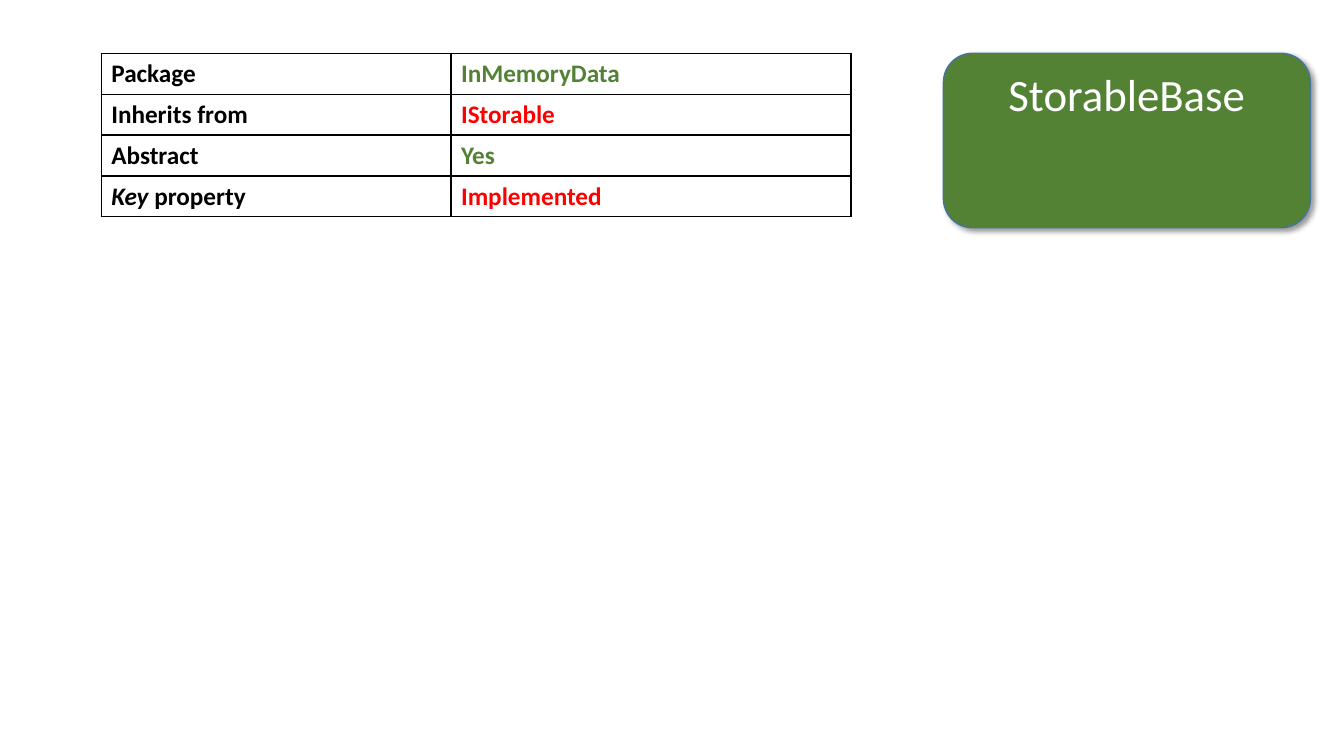
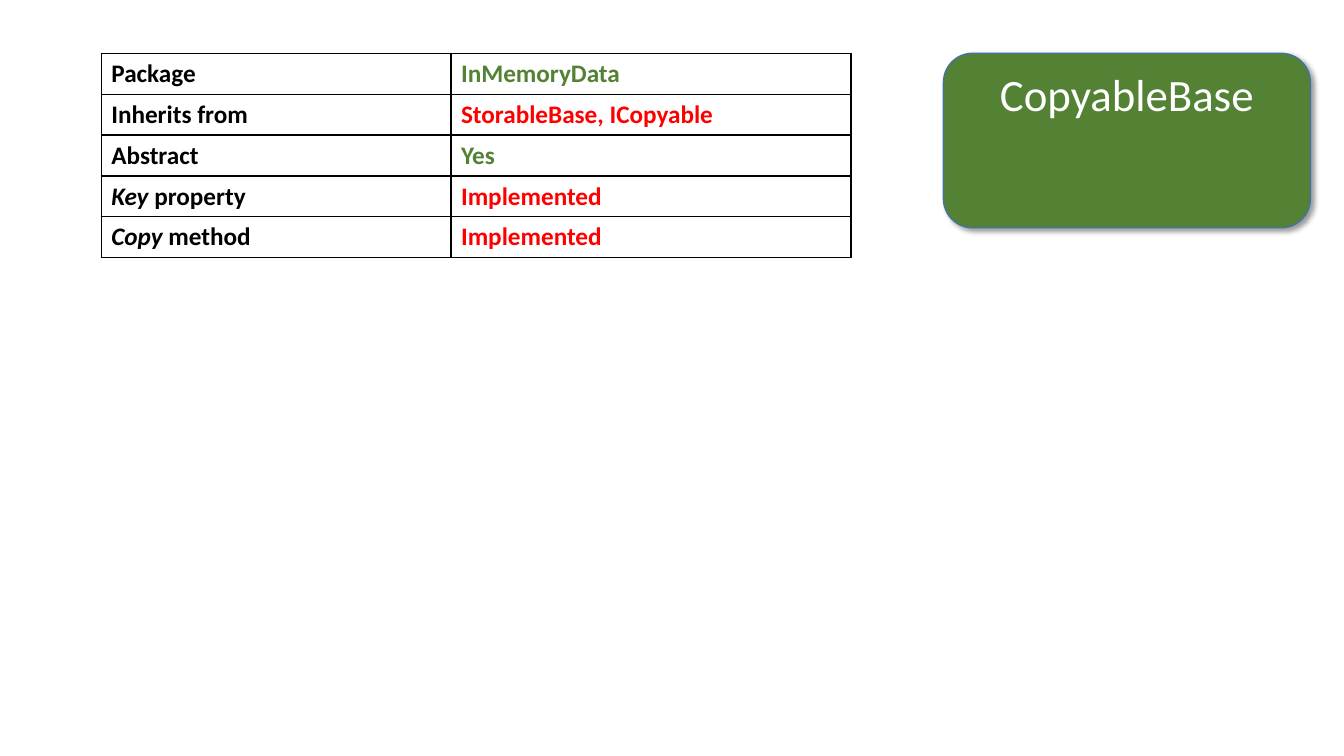
from lxml.etree import SubElement
from pptx import Presentation
from pptx.dml.color import RGBColor
from pptx.enum.shapes import MSO_SHAPE
from pptx.enum.text import MSO_ANCHOR, PP_ALIGN
from pptx.oxml.ns import qn
from pptx.util import Pt

COLORS = {
    "black": "000000",
    "white": "FFFFFF",
    "green": "548235",
    "red": "FF0000",
    "outline": "43739E",
}
FONT = "Calibri"

# Each row: italic part of the label, rest of the label, value, value colour
PACKAGE = ("", "Package", "InMemoryData", "green")
ABSTRACT = ("", "Abstract", "Yes", "green")
KEY = ("Key", " property", "Implemented", "red")
COPY = ("Copy", " method", "Implemented", "red")

CLASSES = [
    ("StorableBase",
     [PACKAGE, ("", "Inherits from", "IStorable", "red"), ABSTRACT, KEY]),
    ("CopyableBase",
     [PACKAGE, ("", "Inherits from", "StorableBase, ICopyable", "red"), ABSTRACT, KEY, COPY]),
]

TOP = 38.1
TABLE_LEFT = 72.35
COLUMN_WIDTHS = (249.8, 285.8)
ROW_HEIGHT = 29.2
BOX_LEFT, BOX_WIDTH, BOX_HEIGHT = 673.9, 262.1, 124.6


def rgb(name):
    return RGBColor.from_string(COLORS[name])


def set_font(font, size, color, bold=False):
    font.name = FONT
    font.size = Pt(size)
    font.bold = bold
    font.color.rgb = rgb(color)


def add_shadow(shape):
    shape.shadow.inherit = False
    effects = shape._element.spPr.find(qn("a:effectLst"))
    shadow = SubElement(effects, qn("a:outerShdw"), blurRad=str(Pt(4)), dist=str(Pt(3)),
                        dir=str(45 * 60000), algn="tl", rotWithShape="0")
    color = SubElement(shadow, qn("a:srgbClr"), val=COLORS["black"])
    SubElement(color, qn("a:alpha"), val="40000")


def add_borders(cell):
    properties = cell._tc.get_or_add_tcPr()
    for side in ("lnL", "lnR", "lnT", "lnB"):
        line = SubElement(properties, qn(f"a:{side}"), w=str(Pt(1)))
        fill = SubElement(line, qn("a:solidFill"))
        SubElement(fill, qn("a:srgbClr"), val=COLORS["black"])


def fill_cell(cell, parts, color):
    """Write (text, italic) parts into a bordered, unfilled cell."""
    add_borders(cell)
    cell.fill.background()
    para = cell.text_frame.paragraphs[0]
    set_font(para.font, 18, color, bold=True)
    for text, italic in parts:
        if text:
            span = para.add_run()
            span.text = text
            if italic:
                span.font.italic = True


def add_class_box(page, name):
    box = page.shapes.add_shape(MSO_SHAPE.ROUNDED_RECTANGLE, Pt(BOX_LEFT), Pt(TOP),
                                Pt(BOX_WIDTH), Pt(BOX_HEIGHT))
    box.fill.solid()
    box.fill.fore_color.rgb = rgb("green")
    box.line.color.rgb = rgb("outline")
    box.line.width = Pt(1)
    add_shadow(box)
    frame = box.text_frame
    frame.vertical_anchor = MSO_ANCHOR.TOP
    para = frame.paragraphs[0]
    para.text = name
    para.alignment = PP_ALIGN.CENTER
    set_font(para.font, 32, "white")


def add_property_table(page, rows):
    holder = page.shapes.add_table(len(rows), len(COLUMN_WIDTHS), Pt(TABLE_LEFT), Pt(TOP),
                                   Pt(sum(COLUMN_WIDTHS)), Pt(ROW_HEIGHT * len(rows)))
    table = holder.table
    table.first_row = False
    table.horz_banding = False
    for column, width in zip(table.columns, COLUMN_WIDTHS):
        column.width = Pt(width)
    for row, (emphasis, label, value, color) in zip(table.rows, rows):
        row.height = Pt(ROW_HEIGHT)
        fill_cell(row.cells[0], [(emphasis, True), (label, False)], "black")
        fill_cell(row.cells[1], [(value, False)], color)


def main():
    deck = Presentation()
    deck.slide_width, deck.slide_height = Pt(960), Pt(540)
    blank = deck.slide_layouts[6]
    for name, rows in CLASSES:
        page = deck.slides.add_slide(blank)
        add_class_box(page, name)
        add_property_table(page, rows)
    deck.save("out.pptx")


if __name__ == "__main__":
    main()
